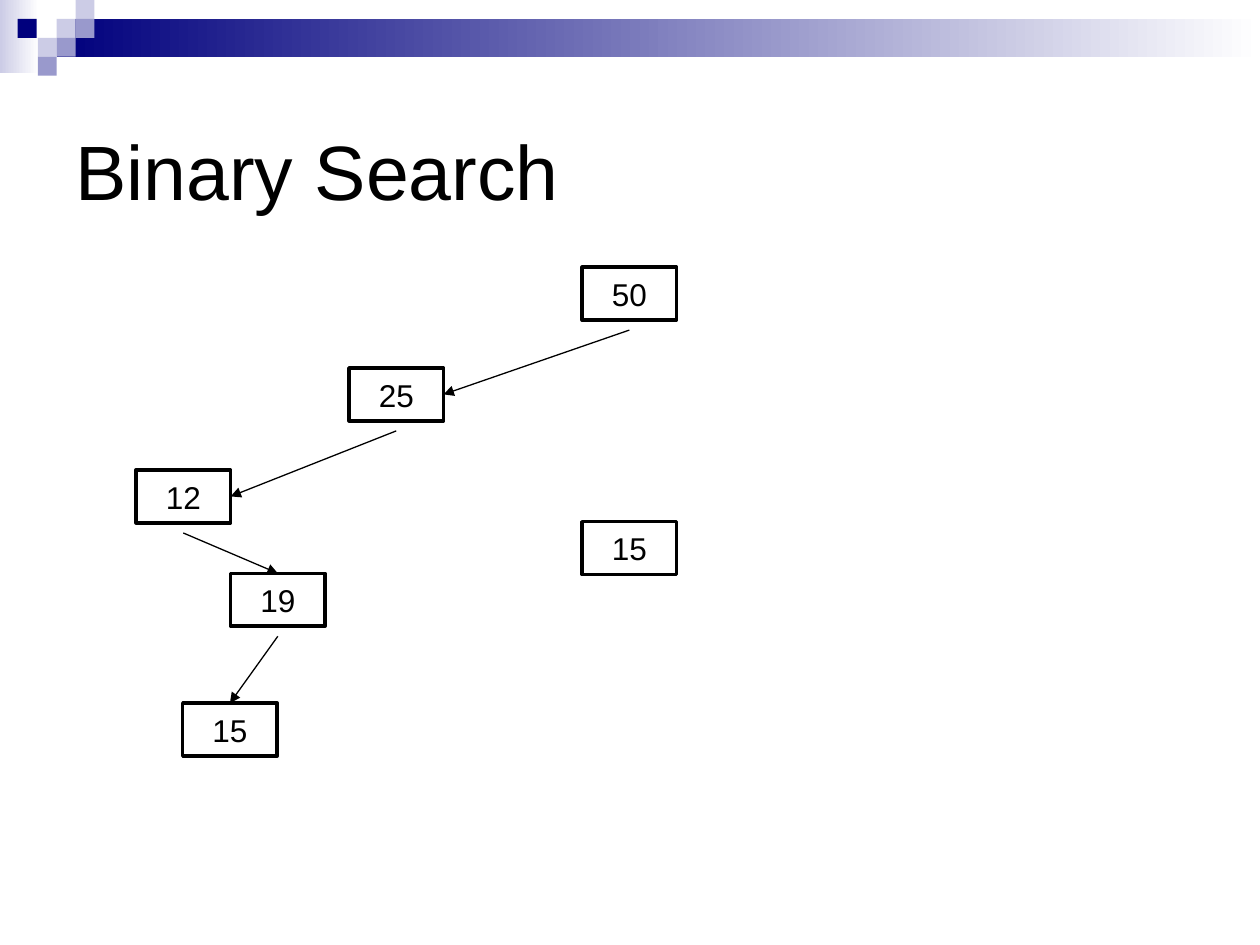
from dataclasses import dataclass

from lxml.etree import SubElement
from pptx import Presentation
from pptx.dml.color import RGBColor
from pptx.enum.shapes import MSO_CONNECTOR, MSO_SHAPE
from pptx.enum.text import MSO_ANCHOR, PP_ALIGN
from pptx.oxml.ns import qn
from pptx.util import Inches, Pt


@dataclass(frozen=True)
class Theme:
    font: str = "Arial"
    ink: str = "000000"
    paper: str = "FFFFFF"
    navy: str = "00007D"
    lilac: str = "CCCCE6"
    violet: str = "9999CC"
    title_size: int = 44
    node_size: int = 18
    node_line: float = 2
    arrow_line: float = 0.75


class SlideBuilder:
    node_width, node_height, arrow_gap = 0.75, 0.42, 0.08

    def __init__(self, slide, theme):
        self.slide = slide
        self.theme = theme

    def color(self, value):
        return RGBColor.from_string(value)

    def label(self, shape, text, size, alignment):
        frame = shape.text_frame
        frame.word_wrap = True
        frame.vertical_anchor = MSO_ANCHOR.MIDDLE
        frame.text = text
        paragraph = frame.paragraphs[0]
        paragraph.alignment = alignment
        font = paragraph.runs[0].font
        font.name = self.theme.font
        font.size = Pt(size)
        font.color.rgb = self.color(self.theme.ink)

    def rectangle(self, left, top, width, height, fill):
        shape = self.slide.shapes.add_shape(
            MSO_SHAPE.RECTANGLE, Inches(left), Inches(top), Inches(width), Inches(height))
        shape.shadow.inherit = False
        shape.line.fill.background()
        shape.fill.solid()
        shape.fill.fore_color.rgb = self.color(fill)
        return shape

    def fading_band(self, left, top, width, height, start):
        fill = self.rectangle(left, top, width, height, start).fill
        fill.gradient()
        fill.gradient_angle = 0
        for stop, position, value in zip(fill.gradient_stops, (0, 1), (start, self.theme.paper)):
            stop.position = position
            stop.color.rgb = self.color(value)

    def title(self, text, left, top, width, height):
        box = self.slide.shapes.add_textbox(
            Inches(left), Inches(top), Inches(width), Inches(height))
        self.label(box, text, self.theme.title_size, PP_ALIGN.LEFT)

    def node(self, text, left, top):
        shape = self.rectangle(left, top, self.node_width, self.node_height, self.theme.paper)
        shape.line.color.rgb = self.color(self.theme.ink)
        shape.line.width = Pt(self.theme.node_line)
        self.label(shape, text, self.theme.node_size, PP_ALIGN.CENTER)

    def arrow(self, parent, child, side):
        start_x = parent[0] + self.node_width / 2
        start_y = parent[1] + self.node_height + self.arrow_gap
        if side == "right":
            end_x, end_y = child[0] + self.node_width, child[1] + self.node_height / 2
        else:
            end_x, end_y = child[0] + self.node_width / 2, child[1]
        connector = self.slide.shapes.add_connector(
            MSO_CONNECTOR.STRAIGHT,
            Inches(start_x), Inches(start_y), Inches(end_x), Inches(end_y))
        connector.line.color.rgb = self.color(self.theme.ink)
        connector.line.width = Pt(self.theme.arrow_line)
        properties = connector.element.spPr
        SubElement(properties.find(qn("a:ln")), qn("a:tailEnd"), type="triangle")
        SubElement(properties, qn("a:effectLst"))


presentation = Presentation()
presentation.slide_width = Inches(10)
presentation.slide_height = Inches(7.5)
theme = Theme()
builder = SlideBuilder(presentation.slides.add_slide(presentation.slide_layouts[6]), theme)

builder.fading_band(0, 0, 0.31, 0.58, theme.lilac)
builder.fading_band(0.45, 0.15, 9.55, 0.3, theme.navy)

tile = 0.15
for left, top, fill in (
    (0.45, 0.15, theme.lilac),
    (0.6, 0, theme.lilac),
    (0.6, 0.15, theme.violet),
    (0.3, 0.3, theme.lilac),
    (0.14, 0.15, theme.navy),
    (0.45, 0.3, theme.violet),
    (0.3, 0.45, theme.violet),
):
    builder.rectangle(left, top, tile, tile, fill)

builder.title("Binary Search", 0.5, 0.84, 9, 1.02)

search_path = (
    ("50", (4.62, 2.12), None),
    ("25", (2.77, 2.92), "right"),
    ("12", (1.08, 3.73), "right"),
    ("19", (1.83, 4.55), "top"),
    ("15", (1.45, 5.58), "top"),
)
parent = None
for text, position, side in search_path:
    builder.node(text, *position)
    if parent:
        builder.arrow(parent, position, side)
    parent = position

builder.node("15", 4.62, 4.14)

presentation.save("out.pptx")
